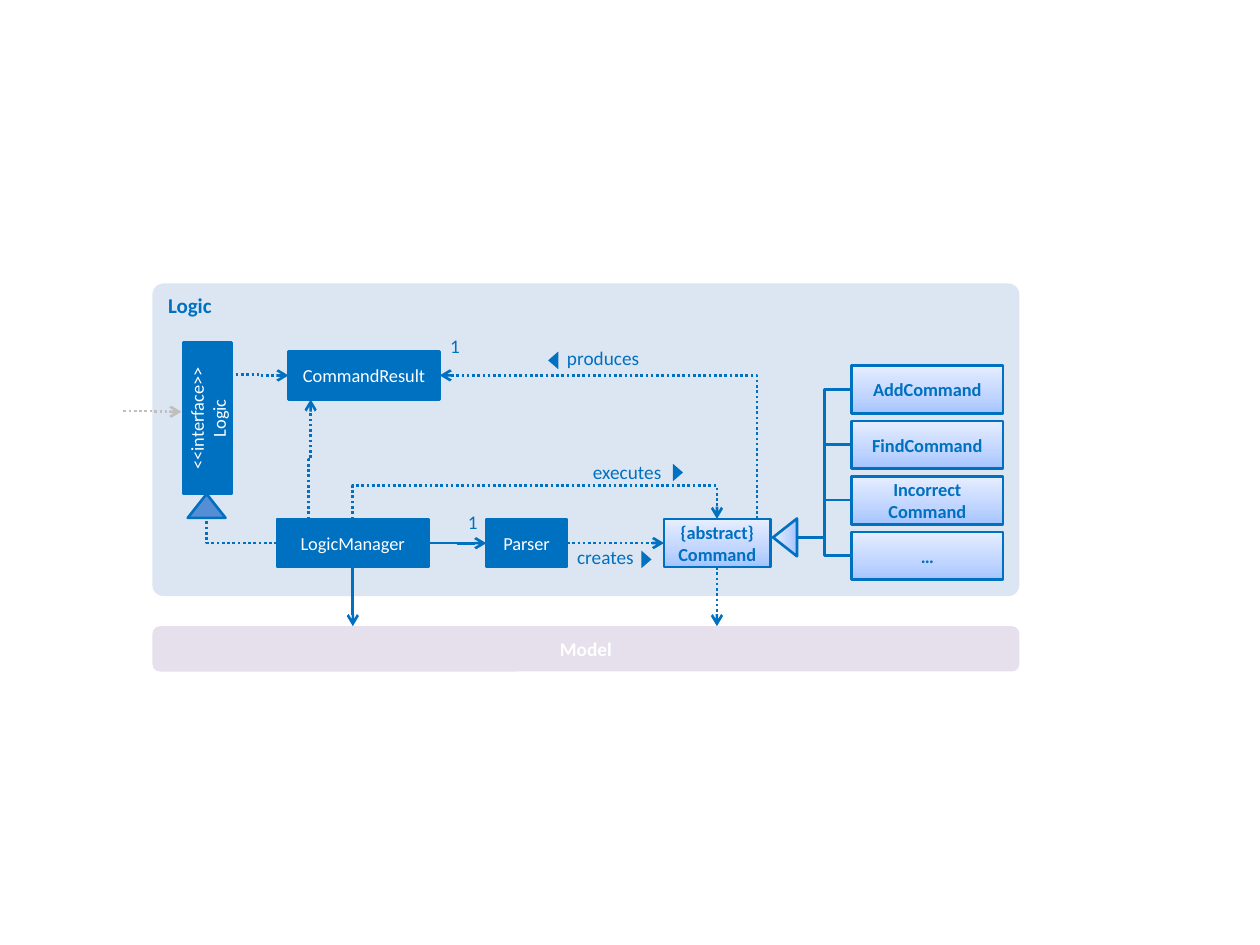
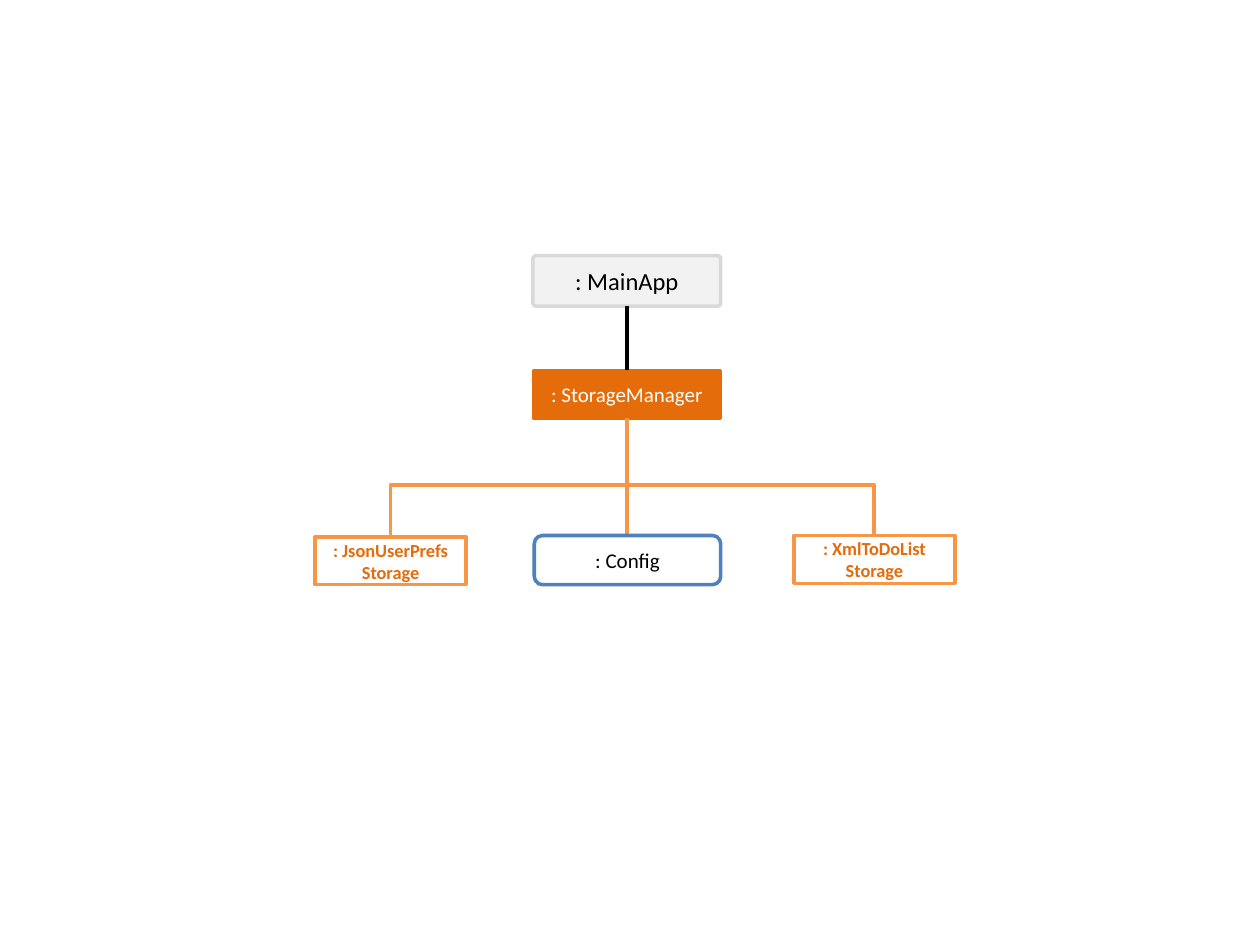
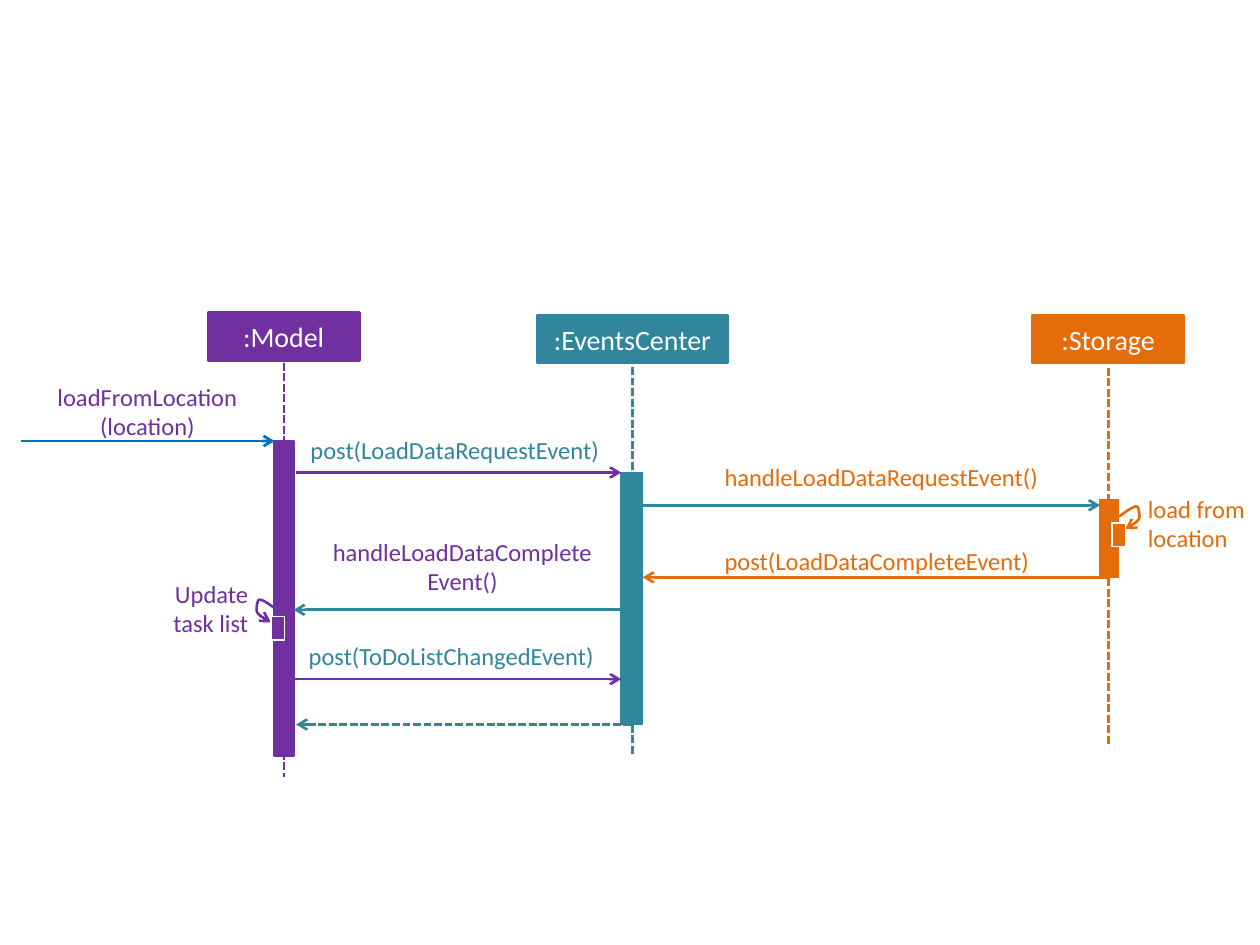
from copy import deepcopy

from lxml.etree import SubElement
from pptx import Presentation
from pptx.dml.color import RGBColor
from pptx.enum.dml import MSO_LINE
from pptx.enum.shapes import MSO_CONNECTOR, MSO_SHAPE
from pptx.enum.text import MSO_ANCHOR, PP_ALIGN
from pptx.oxml.ns import qn
from pptx.util import Pt

RECT, ROUNDED, TRIANGLE = MSO_SHAPE.RECTANGLE, MSO_SHAPE.ROUNDED_RECTANGLE, MSO_SHAPE.ISOSCELES_TRIANGLE
STRAIGHT, ELBOW = MSO_CONNECTOR.STRAIGHT, MSO_CONNECTOR.ELBOW
DOT, DASH = MSO_LINE.ROUND_DOT, MSO_LINE.SQUARE_DOT
LEFT, CENTER, RIGHT = PP_ALIGN.LEFT, PP_ALIGN.CENTER, PP_ALIGN.RIGHT
TOP, MIDDLE = MSO_ANCHOR.TOP, MSO_ANCHOR.MIDDLE

BLUE, PURPLE, TEAL, ORANGE = "0070C0", "7030A0", "31859C", "E46C0A"
LIGHT_ORANGE, WHITE, BLACK = "F79646", "FFFFFF", "000000"
SOFT_BLUE = [(0, "A4C4FF"), (0.35, "BFD4FF"), (1, "E6EEFF")]
BOX_H = 27.36
CLASS_W = 86.4


def rgb(code):
    return RGBColor.from_string(code)


class Diagram:
    """Draws UML elements on the current slide in one shared style."""

    font = "Calibri"

    def __init__(self):
        self.deck = Presentation()
        self.deck.slide_width, self.deck.slide_height = Pt(720), Pt(540)
        self.shapes = None

    def new_slide(self):
        self.shapes = self.deck.slides.add_slide(self.deck.slide_layouts[6]).shapes

    def set_text(self, frame, text, size, color, bold=False, align=CENTER, anchor=MIDDLE):
        frame.word_wrap = True
        frame.vertical_anchor = anchor
        frame.text = text
        for paragraph in frame.paragraphs:
            paragraph.alignment = align
            font = paragraph.font
            font.name, font.size, font.bold = self.font, Pt(size), bold
            font.color.rgb = rgb(color)

    def paint(self, shape, fill):
        if isinstance(fill, str):
            shape.fill.solid()
            shape.fill.fore_color.rgb = rgb(fill)
            return
        shape.fill.gradient()
        shape.fill.gradient_angle = 90
        stops = shape.element.spPr.find(".//" + qn("a:gsLst"))
        stops.append(deepcopy(stops[-1]))
        for stop, (position, color) in zip(shape.fill.gradient_stops, fill):
            stop.position = position
            stop.color.rgb = rgb(color)

    def stroke(self, shape, color, width, dash=None, arrow=False):
        shape.line.color.rgb = rgb(color)
        shape.line.width = Pt(width)
        if dash:
            shape.line.dash_style = dash
        if arrow:
            SubElement(shape.element.spPr.find(qn("a:ln")), qn("a:tailEnd"), type="arrow")

    def block(self, kind, x, y, w, h, fill, line=None, width=1.5, turn=0, corner=None):
        shape = self.shapes.add_shape(kind, Pt(x), Pt(y), Pt(w), Pt(h))
        shape.shadow.inherit = False
        shape.rotation = turn
        if corner is not None:
            shape.adjustments[0] = corner
        self.paint(shape, fill)
        if line:
            self.stroke(shape, line, width)
        else:
            shape.line.fill.background()
        return shape

    def solid_box(self, text, x, y, w, color, size=10.5, turn=0):
        box = self.block(RECT, x, y, w, BOX_H, color, color, turn=turn)
        self.set_text(box.text_frame, text, size, WHITE)

    def outlined_box(self, text, x, y, w, fill, line, color, width=1.5):
        box = self.block(RECT, x, y, w, BOX_H, fill, line, width)
        self.set_text(box.text_frame, text, 10.5, color, bold=True)

    def label(self, text, x, y, w, h, color, size=14, align=CENTER):
        frame = self.shapes.add_textbox(Pt(x), Pt(y), Pt(w), Pt(h)).text_frame
        frame.margin_left = frame.margin_right = frame.margin_top = frame.margin_bottom = 0
        self.set_text(frame, text, size, color, align=align, anchor=TOP)

    def pointer(self, x, y, turn):
        self.block(TRIANGLE, x, y, 10.1, 5.8, BLUE, turn=turn)

    def connect(self, kind, begin, end, color, width, dash, arrow):
        connector = self.shapes.add_connector(kind, *map(Pt, begin + end))
        self.stroke(connector, color, width, dash, arrow)
        SubElement(connector.element.spPr, qn("a:effectLst"))
        return connector

    def line(self, begin, end, color, width=1.5, dash=None, arrow=False):
        self.connect(STRAIGHT, begin, end, color, width, dash, arrow)

    def elbow(self, begin, end, color=BLUE, width=1.5, dash=None, arrow=False, bend=0.5):
        connector = self.connect(ELBOW, begin, end, color, width, dash, arrow)
        guides = connector.element.spPr.find(qn("a:prstGeom")).find(qn("a:avLst"))
        SubElement(guides, qn("a:gd"), name="adj1", fmla=f"val {round(bend * 100000)}")
        return connector

    def upward_elbow(self, begin, end, bend=0.5):
        mid_x, mid_y = (begin[0] + end[0]) / 2, (begin[1] + end[1]) / 2
        half_w, half_h = (begin[1] - end[1]) / 2, (end[0] - begin[0]) / 2
        connector = self.elbow((mid_x - half_w, mid_y - half_h), (mid_x + half_w, mid_y + half_h),
                               dash=DOT, arrow=True, bend=bend)
        connector.rotation = 270

    def corner(self, begin, end, color, width, dash=None):
        connector = self.connect(ELBOW, begin, end, color, width, dash, False)
        connector.element.spPr.find(qn("a:prstGeom")).set("prst", "bentConnector2")

    def self_call(self, x, y, side, color):
        knots = [(0, 0), (4.3, -2.9), (7.9, -5.8), (10.1, -5.8), (11.5, -5.8),
                 (12.2, 0), (11.5, 1.4), (10.1, 3.6), (7.2, 5), (3.6, 7.2)]
        points = []
        for first in range(0, 9, 3):
            for step in range(1, 9):
                t = step / 8
                weights = ((1 - t) ** 3, 3 * t * (1 - t) ** 2, 3 * t * t * (1 - t), t ** 3)
                dx, dy = (sum(weight * knot[axis] for weight, knot in zip(weights, knots[first:first + 4]))
                          for axis in (0, 1))
                points.append((Pt(x + side * dx), Pt(y + dy)))
        builder = self.shapes.build_freeform(Pt(x), Pt(y))
        builder.add_line_segments(points, close=False)
        loop = builder.convert_to_shape()
        loop.shadow.inherit = False
        loop.fill.background()
        self.stroke(loop, color, 1.5, arrow=True)


def logic_slide(d):
    d.new_slide()
    panel = d.block(ROUNDED, 87.12, 162, 495.36, 178.6, "DCE6F2", corner=0.035)
    d.set_text(panel.text_frame, "Logic", 12, BLUE, bold=True, align=LEFT, anchor=TOP)
    model = d.block(ROUNDED, 87.12, 357.84, 495.36, 25.92, "E6E0EC")
    d.set_text(model.text_frame, "Model", 11, WHITE, bold=True)

    row_y, axis_y = 296.64, 310.32
    d.solid_box("CommandResult", 164.88, 200.88, CLASS_W, BLUE)
    d.solid_box("LogicManager", 158.4, row_y, CLASS_W, BLUE)
    d.solid_box("Parser", 277.92, row_y, 46.08, BLUE)
    d.solid_box("<<interface>>\nLogic", 75.4, 225.36, CLASS_W, BLUE, turn=270)
    d.elbow((432, 308.16), (251.28, 214.56), dash=DOT, arrow=True, bend=-0.003)
    d.outlined_box("{abstract}\vCommand", 379.44, row_y, 60.84, SOFT_BLUE, BLUE, BLUE)
    d.block(TRIANGLE, 437.76, 300.24, 21.6, 13.68, SOFT_BLUE, BLUE, turn=270)
    d.block(TRIANGLE, 107.28, 282.24, 21.6, 13.68, "558ED5", BLUE)

    for index, command in enumerate(("AddCommand", "FindCommand", "Incorrect\vCommand", "…")):
        top = 208.8 + 31.7 * index
        d.outlined_box(command, 486.72, top, CLASS_W, SOFT_BLUE, BLUE, BLUE)
        d.elbow((455.76, 307.2), (486.72, top + BOX_H / 2))

    d.elbow((131.76, 213.84), (164.88, 214.56), dash=DOT, arrow=True)
    d.elbow((70.56, 234.9), (103.68, 235.3), "BFBFBF", dash=DOT, arrow=True)
    d.elbow((244.8, axis_y), (277.92, axis_y + 0.1), arrow=True)
    d.line((324, axis_y), (379.44, axis_y), BLUE, dash=DOT, arrow=True)
    d.corner((158.4, axis_y), (118.08, 295.92), BLUE, 1.5, DOT)
    d.line((201.6, 324), (201.6, 357.84), BLUE, arrow=True)
    d.line((409.68, 324), (409.68, 357.84), BLUE, dash=DOT, arrow=True)
    d.upward_elbow((201.6, row_y), (409.68, row_y - 0.16), bend=112.5)
    d.upward_elbow((176.4, row_y), (177.5, 228.24))

    for text, x, y, w, align in (("executes", 320.4, 262.8, 57.6, RIGHT), ("produces", 324, 198, 57.6, LEFT),
                                 ("creates", 318.24, 311.76, 43.92, RIGHT),
                                 ("1", 252.72, 190.8, 10.08, RIGHT), ("1", 262.8, 291.6, 10.08, RIGHT)):
        d.label(text, x, y, w, 18, BLUE, 11, align)
    for x, y, turn in ((382.32, 267.12, 90), (311.04, 203.04, 270), (364.32, 316.8, 90)):
        d.pointer(x, y, turn)


def storage_slide(d):
    d.new_slide()
    axis_x, branch_y = 358.3, 277.2
    d.solid_box(": StorageManager", 304.56, 211.68, 107.28, ORANGE, size=12)
    d.outlined_box(": XmlToDoList\nStorage", 453.6, 306, 92.16, WHITE, LIGHT_ORANGE, ORANGE, 2)
    d.outlined_box(": JsonUserPrefs\vStorage", 180, 306.72, CLASS_W, WHITE, LIGHT_ORANGE, ORANGE, 2)
    app = d.block(ROUNDED, 304.56, 146.16, 107.28, 28.8, "F2F2F2", "D9D9D9", 2, corner=0.058)
    d.set_text(app.text_frame, ": MainApp", 14, BLACK)
    d.line((axis_x, 174.96), (axis_x, 211.68), BLACK, 2.25)
    d.line((axis_x, 239.04), (axis_x, 306.72), LIGHT_ORANGE, 2.25)
    for end in ((223.2, 306.72), (499.68, 306)):
        d.corner((axis_x, branch_y), end, LIGHT_ORANGE, 2.25)
    config = d.block(ROUNDED, 305.28, 306, 106.56, 28.08, WHITE, "4F81BD", 2)
    d.set_text(config.text_frame, ": Config", 12, BLACK)


def load_slide(d):
    d.new_slide()
    participants = (
        (":Model", 118.9, 178.56, CLASS_W, PURPLE, 162.3, 207.36, 444.24, (156.6, 252, 11.52, 180)),
        (":EventsCenter", 307.08, 180, 108.7, TEAL, 361.3, 203.76, 432, (354.6, 270, 12.6, 144)),
        (":Storage", 590.04, 180, CLASS_W, ORANGE, 633.6, 210.24, 426.24, (628.56, 285.5, 10.8, 44.64)),
    )
    for name, x, y, w, color, life_x, life_top, life_end, bar in participants:
        d.line((life_x, life_top), (life_x, life_end), color, dash=DASH)
        d.solid_box(name, x, y, w, color, size=16)
        d.block(RECT, *bar, color, color, 0.75)

    messages = (
        (12.24, 156.96, 252, BLUE, None), (169.2, 354.96, 270, PURPLE, None),
        (367.2, 628.56, 288.72, TEAL, None), (633.6, 367.2, 329.9, ORANGE, None),
        (354.96, 167.76, 348.48, TEAL, None), (166.32, 354.96, 388.08, PURPLE, None),
        (360.72, 169.2, 414, TEAL, DASH),
    )
    for start, end, y, color, dash in messages:
        d.line((start, y), (end, y), color, dash=dash, arrow=True)

    for x, y, side, bar_x, bar_y, color in ((639.36, 295.2, 1, 635.4, 298.8, ORANGE),
                                            (158.4, 348.48, -1, 154.8, 352.08, PURPLE)):
        d.self_call(x, y, side, color)
        d.block(RECT, bar_x, bar_y, 7.92, 13.68, color, WHITE, 0.75)

    one_line, two_lines = 16.96, 33.92
    for text, x, y, w, h, color, align in (
        ("loadFromLocation\n(location)", 18, 218.16, 132.48, two_lines, PURPLE, CENTER),
        ("post(LoadDataRequestEvent)", 174.96, 248.76, 169.92, one_line, TEAL, CENTER),
        ("handleLoadDataRequestEvent()", 414, 264.24, 185.76, one_line, ORANGE, LEFT),
        ("load from location", 655.92, 282.24, 57.6, two_lines, ORANGE, LEFT),
        ("post(LoadDataCompleteEvent)", 408.96, 312.12, 184.32, one_line, ORANGE, CENTER),
        ("handleLoadDataComplete\nEvent()", 189.36, 306.72, 149.76, two_lines, PURPLE, CENTER),
        ("Update task list", 79.2, 330.84, 62.64, two_lines, PURPLE, RIGHT),
        ("post(ToDoListChangedEvent)", 176.4, 366.48, 192.24, one_line, TEAL, LEFT),
    ):
        d.label(text, x, y, w, h, color, align=align)


diagram = Diagram()
logic_slide(diagram)
storage_slide(diagram)
load_slide(diagram)
diagram.deck.save("out.pptx")
